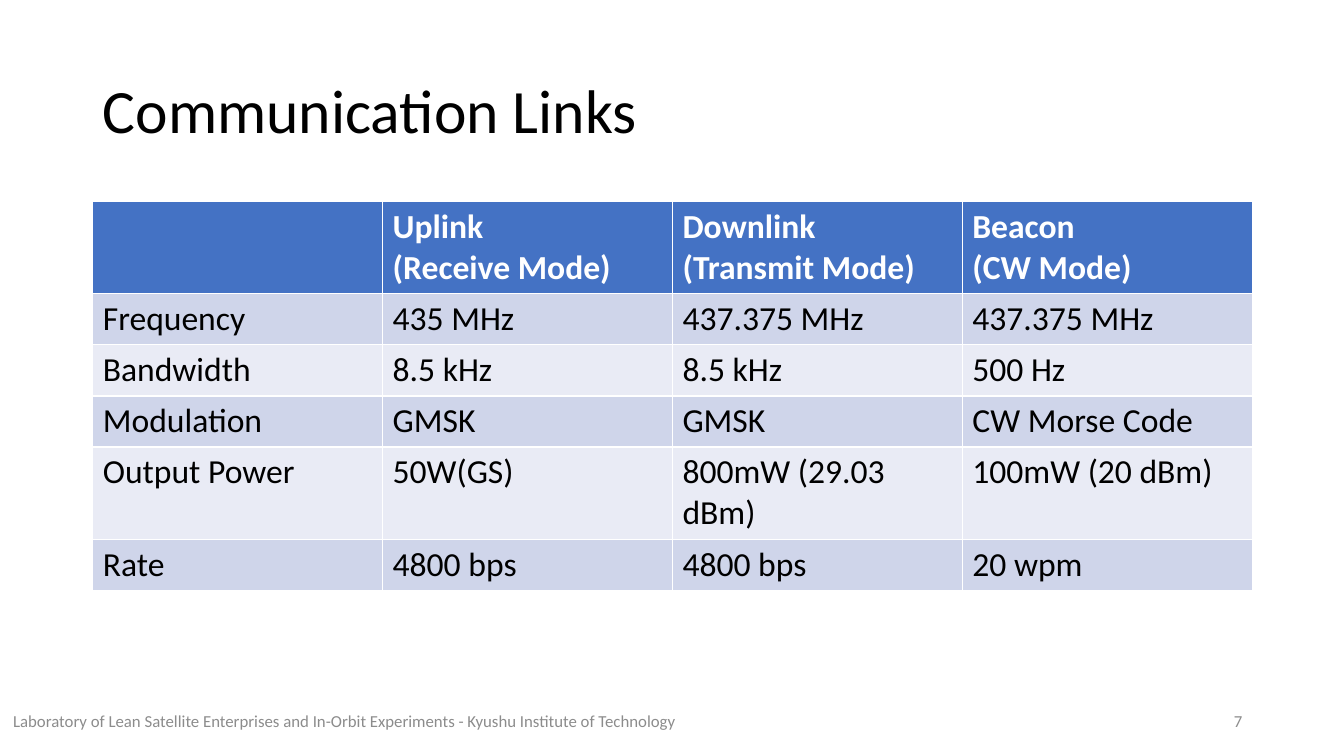
import dataclasses

import pptx
import pptx.dml.color
import pptx.enum.text
import pptx.util

Inches = pptx.util.Inches
Align = pptx.enum.text.PP_ALIGN
Anchor = pptx.enum.text.MSO_ANCHOR


@dataclasses.dataclass(frozen=True)
class Theme:
    """Colours, font and type sizes of the slide."""
    font: str = "Calibri"
    ink: str = "000000"
    white: str = "FFFFFF"
    muted: str = "8C8C8C"
    header: str = "4472C4"
    bands: tuple = ("CFD5EA", "E9EBF5")
    title_size: int = 44
    table_size: int = 24
    footer_size: int = 12


THEME = Theme()
LINKS = [
    ["", "Uplink\n(Receive Mode)", "Downlink\n(Transmit Mode)", "Beacon\n(CW Mode)"],
    ["Frequency", "435 MHz", "437.375 MHz", "437.375 MHz"],
    ["Bandwidth", "8.5 kHz", "8.5 kHz", "500 Hz"],
    ["Modulation", "GMSK", "GMSK", "CW Morse Code"],
    ["Output Power", "50W(GS)", "800mW (29.03 dBm)", "100mW (20 dBm)"],
    ["Rate", "4800 bps", "4800 bps", "20 wpm"],
]
FOOTER = "Laboratory of Lean Satellite Enterprises and In-Orbit Experiments - Kyushu Institute of Technology"


def rgb(value):
    """Turn a hex string into a colour."""
    return pptx.dml.color.RGBColor.from_string(value)


def write(frame, text, size, colour, bold=False, align=Align.LEFT):
    """Set the text of a frame and format all its runs."""
    frame.text = text
    for para in frame.paragraphs:
        para.alignment = align
        for span in para.runs:
            span.font.name = THEME.font
            span.font.size = pptx.util.Pt(size)
            span.font.bold = bold
            span.font.color.rgb = rgb(colour)


def add_title(page, text, left, top, width, height):
    """Place and format the title placeholder."""
    title = page.shapes.title
    title.left, title.top = Inches(left), Inches(top)
    title.width, title.height = Inches(width), Inches(height)
    frame = title.text_frame
    frame.vertical_anchor = Anchor.MIDDLE
    write(frame, text, THEME.title_size, THEME.ink)
    frame.paragraphs[0].line_spacing = 0.9


def add_link_table(page, rows, left, top, width, height):
    """Add the table with a header row and banded body rows."""
    table = page.shapes.add_table(
        len(rows), len(rows[0]), Inches(left), Inches(top), Inches(width), Inches(height)
    ).table
    for row_index, row in enumerate(rows):
        is_header = row_index == 0
        fill = THEME.header if is_header else THEME.bands[(row_index - 1) % 2]
        colour = THEME.white if is_header else THEME.ink
        for column_index, text in enumerate(row):
            cell = table.cell(row_index, column_index)
            cell.fill.solid()
            cell.fill.fore_color.rgb = rgb(fill)
            write(cell.text_frame, text, THEME.table_size, colour, bold=is_header)


def add_footer_text(page, text, align, left, top, width, height):
    """Add one small grey text in the footer line."""
    box = page.shapes.add_textbox(Inches(left), Inches(top), Inches(width), Inches(height))
    frame = box.text_frame
    frame.word_wrap = True
    frame.vertical_anchor = Anchor.MIDDLE
    write(frame, text, THEME.footer_size, THEME.muted, align=align)


def main():
    """Build the slide and save it."""
    deck = pptx.Presentation()
    deck.slide_width, deck.slide_height = Inches(13.33), Inches(7.5)
    page = deck.slides.add_slide(deck.slide_layouts[5])
    add_title(page, "Communication Links", 0.92, 0.4, 11.5, 1.45)
    add_link_table(page, LINKS, 0.92, 2, 11.5, 2.46)
    add_footer_text(page, "7", Align.RIGHT, 9.42, 6.95, 3, 0.4)
    add_footer_text(page, FOOTER, Align.CENTER, 0, 6.95, 6.84, 0.4)
    deck.save("out.pptx")


if __name__ == "__main__":
    main()
